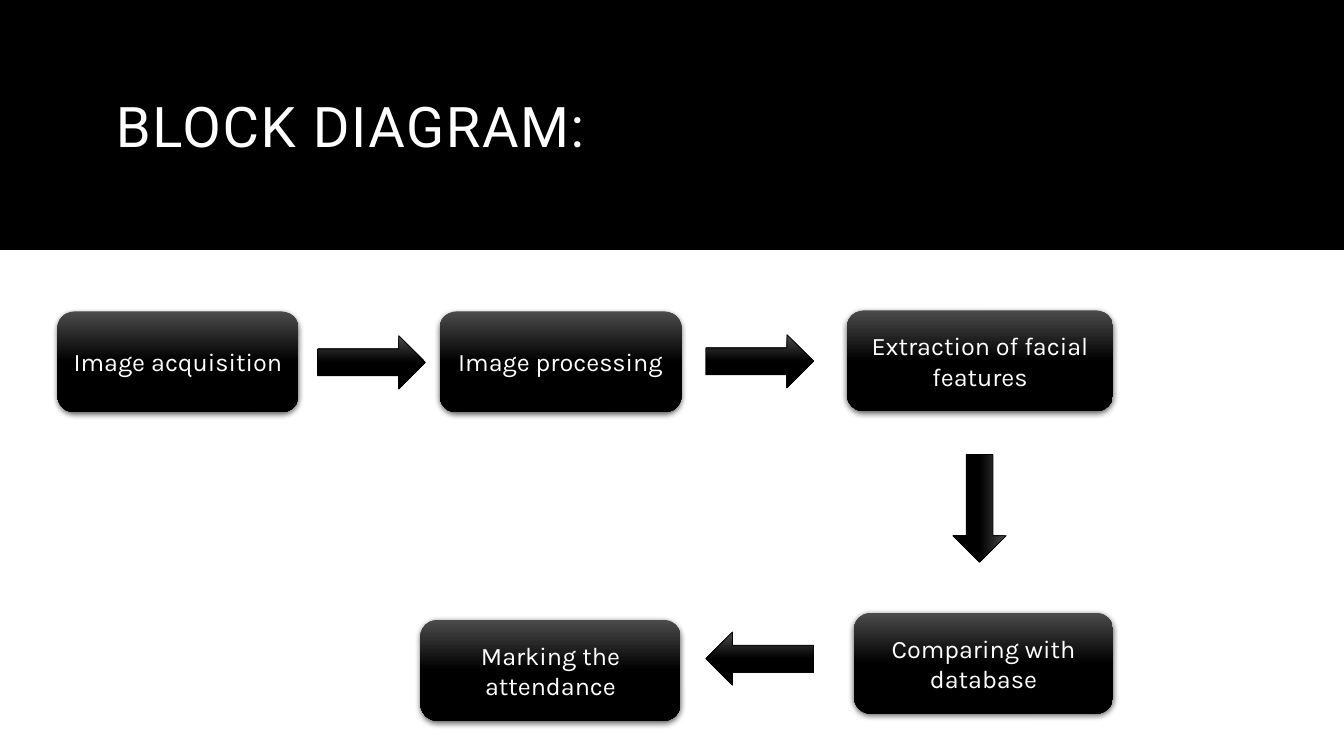
"""Build a slide with the block diagram of a face-based attendance system."""
from lxml import etree
from pptx import Presentation
from pptx import util as u
from pptx.dml.color import RGBColor
from pptx.enum import shapes, text
from pptx.oxml import parse_xml
from pptx.oxml.ns import nsdecls

COLORS = {"black": "000000", "gray": "4B4B4B", "white": "FFFFFF"}
SHADOW = (
    f'<a:effectLst {nsdecls("a")}><a:outerShdw blurRad="57150" dist="19050" '
    'dir="5400000" algn="ctr" rotWithShape="0"><a:srgbClr val="000000">'
    '<a:alpha val="63000"/></a:srgbClr></a:outerShdw></a:effectLst>'
)


def write(shape, words, font="Karla", size=18, align=text.PP_ALIGN.CENTER, spacing=1, tracking=0):
    frame = shape.text_frame
    frame.word_wrap = True
    frame.auto_size = text.MSO_AUTO_SIZE.NONE
    frame.vertical_anchor = text.MSO_ANCHOR.MIDDLE
    para = frame.paragraphs[0]
    para.alignment, para.line_spacing = align, spacing
    span = para.add_run()
    span.text = words
    span.font.name, span.font.size = font, u.Pt(size)
    span.font.color.rgb = RGBColor.from_string(COLORS["white"])
    if tracking:
        span.font._element.set("spc", str(round(tracking * 100)))


def add_block(page, kind, left, top, width, height):
    block = page.shapes.add_shape(kind, *map(u.Inches, (left, top, width, height)))
    block.shadow.inherit = False
    block.fill.gradient()
    block.fill.gradient_angle = 270
    for stop, color, position in zip(block.fill.gradient_stops, ("gray", "black"), (0, 0.5)):
        stop.color.rgb = RGBColor.from_string(COLORS[color])
        stop.position = position
    return block


deck = Presentation()
deck.slide_width, deck.slide_height = u.Inches(13.33), u.Inches(7.5)
page = deck.slides.add_slide(deck.slide_layouts[5])
page.background.fill.solid()
page.background.fill.fore_color.rgb = RGBColor.from_string(COLORS["white"])

band = page.shapes.add_shape(shapes.MSO_SHAPE.RECTANGLE, 0, 0, deck.slide_width, u.Inches(2.48))
band.shadow.inherit = False
band.fill.solid()
band.fill.fore_color.rgb = RGBColor.from_string(COLORS["black"])
band.line.fill.background()
page.shapes._spTree.insert(2, band._element)

title = page.shapes.title
title.left, title.top = u.Inches(1.05), u.Inches(0.35)
title.width, title.height = u.Inches(11.23), u.Inches(1.86)
write(title, "BLOCK DIAGRAM:", font="Roboto", size=40, align=text.PP_ALIGN.LEFT,
      spacing=0.9, tracking=1.2)

steps = [
    ("Image\u00a0acquisition", 0.57, 3.09, 2.39),
    ("Image\u00a0processing", 4.36, 3.09, 2.4),
    ("Extraction of facial features", 8.4, 3.08, 2.64),
    ("Comparing with database", 8.47, 6.08, 2.57),
    ("Marking the attendance", 4.17, 6.15, 2.58),
]
for words, left, top, width in steps:
    box = add_block(page, shapes.MSO_SHAPE.ROUNDED_RECTANGLE, left, top, width, 1)
    box.line.fill.background()
    effects = box._element.spPr.find("{*}effectLst")
    box._element.spPr.replace(effects, parse_xml(SHADOW))
    write(box, words)

arrows = [
    (shapes.MSO_SHAPE.RIGHT_ARROW, 3.15, 3.33, 0),
    (shapes.MSO_SHAPE.RIGHT_ARROW, 7, 3.32, 0),
    (shapes.MSO_SHAPE.RIGHT_ARROW, 9.18, 4.78, 90),
    (shapes.MSO_SHAPE.LEFT_ARROW, 7, 6.27, 0),
]
for kind, left, top, turn in arrows:
    arrow = add_block(page, kind, left, top, 1.07, 0.53)
    arrow.rotation = turn
    arrow.line.color.rgb = RGBColor.from_string(COLORS["black"])
    arrow.line.width = u.Pt(0.5)

deck.save("out.pptx")
